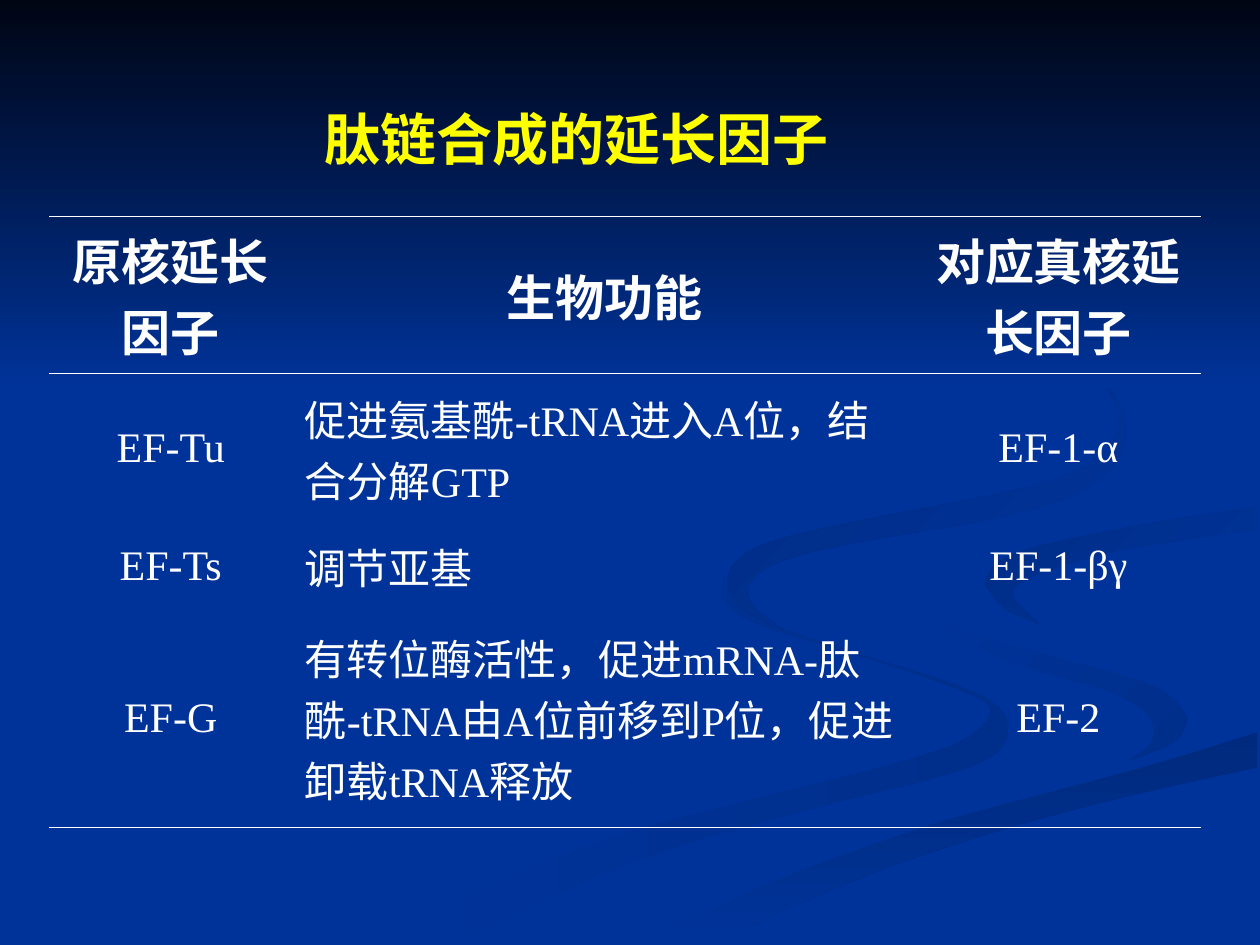
import dataclasses

import pptx
import pptx.dml.color
import pptx.enum.shapes
import pptx.enum.text
import pptx.oxml
import pptx.oxml.ns
import pptx.util

Inches = pptx.util.Inches
Align = pptx.enum.text.PP_ALIGN
Anchor = pptx.enum.text.MSO_ANCHOR


@dataclasses.dataclass(frozen=True)
class Theme:
    """Colours, font and type sizes of the slide."""
    background: str = "003399"
    night: str = "000514"
    lower_shade: str = "002E8B"
    right_shade: str = "002D86"
    upper_shade: str = "002B82"
    sweep_shade: str = "002A7D"
    title: str = "FFFF00"
    text: str = "FFFFFF"
    font: str = "Times New Roman"
    title_size: int = 32
    header_size: int = 28
    body_size: int = 24
    rule_width: float = 0.45


@dataclasses.dataclass(frozen=True)
class Ribbon:
    """A band bounded by smooth edges that meet at sharp corners."""
    edges: tuple
    colours: tuple
    angle: int = 0


THEME = Theme()
PAGE_WIDTH, PAGE_HEIGHT = 10, 7.5
BAND_HEIGHT = 3.08
CURVE_STEPS = 4
TITLE = "肽链合成的延长因子 "
ROWS = [
    ("原核延长因子", "生物功能", "对应真核延长因子"),
    ("EF-Tu", "促进氨基酰-tRNA进入A位，结合分解GTP", "EF-1-α"),
    ("EF-Ts", "调节亚基", "EF-1-βγ"),
    ("EF-G", "有转位酶活性，促进mRNA-肽酰-tRNA由A位前移到P位，促进卸载tRNA释放", "EF-2"),
]
COLUMN_WIDTHS = (1.93, 4.95, 2.26)
ROW_HEIGHTS = (1.24, 1.2, 0.67, 1.74)
RULED_SIDES = ("TB", "T", "", "B")

FOLD_EDGE = ((7.24, 4.64), (7.33, 4.83), (7.58, 4.98), (8.3, 5.19), (9.05, 5.4),
             (9.3, 5.53), (9.43, 5.7))
SWEEP_EDGE = ((5.03, 7.49), (5.69, 7.19), (6.3, 6.93), (6.96, 6.69), (7.64, 6.47),
              (9.03, 6.1), (9.98, 5.81))
RIGHT_EDGE = ((7.81, 4.63), (7.91, 4.47), (8.22, 4.34), (8.98, 4.18), (9.98, 4.02))


def make_ribbons():
    """Describe the ribbons from back to front, with neighbours sharing edges."""
    blue = THEME.background
    lower_left = Ribbon((
        ((5.75, 4.59), (5.83, 4.77), (6.14, 4.96), (6.82, 5.19), (7.57, 5.43), (7.92, 5.61),
         (8, 5.81), (7.86, 6.01), (7.4, 6.18), (6.51, 6.4), (5.32, 6.74), (4.31, 7.14),
         (3.61, 7.49)),
        ((3, 7.49), (3.76, 7.07), (4.58, 6.74), (5.39, 6.49), (6.84, 6.13), (7.59, 5.9),
         (7.86, 5.66), (7.7, 5.51), (6.97, 5.25), (6.11, 4.99), (5.76, 4.8), (5.75, 4.59)),
    ), (blue, THEME.lower_shade))
    lower_right = Ribbon((
        FOLD_EDGE,
        ((9.43, 5.7), (9.32, 5.89), (8.94, 6.05)),
        ((8.94, 6.05), (9.14, 5.89), (9.11, 5.67), (8.8, 5.49), (8.15, 5.3), (7.55, 5.05),
         (7.3, 4.83), (7.24, 4.64)),
    ), (blue, THEME.lower_shade), 45)
    sweep = Ribbon((
        SWEEP_EDGE,
        ((9.98, 6.09), (9.03, 6.3), (8.21, 6.51), (7.52, 6.72), (6.95, 6.92), (6.14, 7.26),
         (5.71, 7.49)),
    ), (THEME.sweep_shade, blue), 90)
    centre = Ribbon((
        FOLD_EDGE,
        ((9.43, 5.7), (9.36, 5.87), (8.92, 6.05), (7.8, 6.34), (6.63, 6.68), (5.73, 7.03),
         (4.77, 7.49)),
        SWEEP_EDGE,
        ((9.99, 5.38), (9.41, 5.27), (8.66, 5.09), (8.04, 4.85), (7.81, 4.63)),
        RIGHT_EDGE,
        ((9.99, 3.87), (9.2, 4.01), (8.3, 4.15), (7.55, 4.32), (7.32, 4.46), (7.24, 4.64)),
    ), (blue,))
    right = Ribbon((
        RIGHT_EDGE,
        ((9.98, 4.2), (9.36, 4.29), (8.78, 4.39), (8.16, 4.59), (8.05, 4.74), (8.26, 4.96)),
        ((8.26, 4.96), (7.97, 4.83), (7.81, 4.63)),
    ), (THEME.right_shade, blue), 45)
    upper = Ribbon((
        ((7.62, 2.33), (8.21, 2.61), (8.64, 2.91), (8.9, 3.24), (8.89, 3.62), (8.55, 3.91),
         (7.86, 4.12), (6.83, 4.3), (6.24, 4.44), (5.96, 4.61), (5.97, 4.8), (6.22, 5)),
        ((6.22, 5), (5.9, 4.84), (5.77, 4.62), (5.89, 4.41), (6.25, 4.26), (7.04, 4.09),
         (8.18, 3.86), (8.7, 3.65), (8.89, 3.35), (8.76, 3.06), (8.46, 2.79), (7.62, 2.33)),
    ), (THEME.upper_shade, blue), 45)
    return lower_left, lower_right, sweep, centre, right, upper


def blend(before, start, end, after, t):
    """Return the Catmull-Rom value at fraction t between start and end."""
    return (start + (end - before) * t / 2
            + (2 * before - 5 * start + 4 * end - after) * t ** 2 / 2
            + (3 * start - before - 3 * end + after) * t ** 3 / 2)


def smooth(edge):
    """Return points along a smooth curve through the waypoints of an edge."""
    padded = (edge[0], *edge, edge[-1])
    curve = []
    for window in zip(padded, padded[1:], padded[2:], padded[3:]):
        for step in range(CURVE_STEPS):
            curve.append(tuple(blend(*axis, step / CURVE_STEPS) for axis in zip(*window)))
    return curve + [edge[-1]]


def rgb(value):
    """Return the colour for a hexadecimal string."""
    return pptx.dml.color.RGBColor.from_string(value)


def paint(fill, colours, clockwise_angle=0):
    """Fill with one colour or with a two-colour linear gradient."""
    if len(colours) == 1:
        fill.solid()
        fill.fore_color.rgb = rgb(colours[0])
        return
    fill.gradient()
    fill.gradient_angle = -clockwise_angle % 360
    for stop, colour in zip(fill.gradient_stops, colours):
        stop.color.rgb = rgb(colour)


def finish_shape(shape, colours, angle):
    """Give a backdrop shape its fill, without outline or shadow."""
    shape.shadow.inherit = False
    shape.line.fill.background()
    paint(shape.fill, colours, angle)


def add_backdrop(page):
    """Add the ribbons and the dark band at the top as one group."""
    shapes = page.shapes.add_group_shape().shapes
    for ribbon in make_ribbons():
        points = [(Inches(x), Inches(y)) for edge in ribbon.edges for x, y in smooth(edge)]
        builder = shapes.build_freeform(*points[0])
        builder.add_line_segments(points[1:], close=True)
        finish_shape(builder.convert_to_shape(), ribbon.colours, ribbon.angle)
    band = shapes.add_shape(pptx.enum.shapes.MSO_SHAPE.RECTANGLE, 0, 0,
                            Inches(PAGE_WIDTH), Inches(BAND_HEIGHT))
    finish_shape(band, (THEME.night, THEME.background), 90)


def style_text(frame, size, colour, bold, align):
    """Format the single paragraph of a text frame."""
    paragraph = frame.paragraphs[0]
    paragraph.alignment = align
    for span in paragraph.runs:
        span.font.name = THEME.font
        span.font.size = pptx.util.Pt(size)
        span.font.bold = bold
        span.font.color.rgb = rgb(colour)


def place_title(page):
    """Place the title above the backdrop."""
    title = page.shapes.title
    title.left, title.top, title.width, title.height = map(Inches, (2.11, 0.78, 5.04, 0.63))
    frame = title.text_frame
    frame.text = TITLE
    frame.word_wrap = True
    frame.auto_size = pptx.enum.text.MSO_AUTO_SIZE.SHAPE_TO_FIT_TEXT
    frame.vertical_anchor = Anchor.MIDDLE
    style_text(frame, THEME.title_size, THEME.title, True, Align.CENTER)
    title.element.getparent().append(title.element)


def rule_cell(cell, ruled_sides):
    """Draw thin rules on the named sides and clear the others."""
    width = pptx.util.Pt(THEME.rule_width)
    properties = cell._tc.get_or_add_tcPr()
    for side in "LRTB":
        ink = "<a:noFill/>"
        if side in ruled_sides:
            ink = f'<a:solidFill><a:srgbClr val="{THEME.text}"/></a:solidFill>'
        properties.append(pptx.oxml.parse_xml(
            f'<a:ln{side} {pptx.oxml.ns.nsdecls("a")} w="{width}">{ink}</a:ln{side}>'))


def add_factor_table(page):
    """Add the table of elongation factors."""
    frame = page.shapes.add_table(len(ROWS), len(COLUMN_WIDTHS), Inches(0.39), Inches(1.72),
                                  Inches(sum(COLUMN_WIDTHS)), Inches(sum(ROW_HEIGHTS)))
    table = frame.table
    table.first_row = table.horz_banding = False
    for column, width in zip(table.columns, COLUMN_WIDTHS):
        column.width = Inches(width)
    for index, (row, texts) in enumerate(zip(table.rows, ROWS)):
        row.height = Inches(ROW_HEIGHTS[index])
        header = index == 0
        size = THEME.header_size if header else THEME.body_size
        for position, (cell, text) in enumerate(zip(row.cells, texts)):
            cell.text_frame.text = text
            cell.vertical_anchor = Anchor.MIDDLE
            rule_cell(cell, RULED_SIDES[index])
            cell.fill.background()
            align = Align.LEFT if position == 1 and not header else Align.CENTER
            style_text(cell.text_frame, size, THEME.text, header, align)


def main():
    """Build and save the slide."""
    deck = pptx.Presentation()
    deck.slide_width, deck.slide_height = Inches(PAGE_WIDTH), Inches(PAGE_HEIGHT)
    page = deck.slides.add_slide(deck.slide_layouts[5])
    paint(page.background.fill, (THEME.background,))
    add_backdrop(page)
    add_factor_table(page)
    place_title(page)
    deck.save("out.pptx")


if __name__ == "__main__":
    main()
